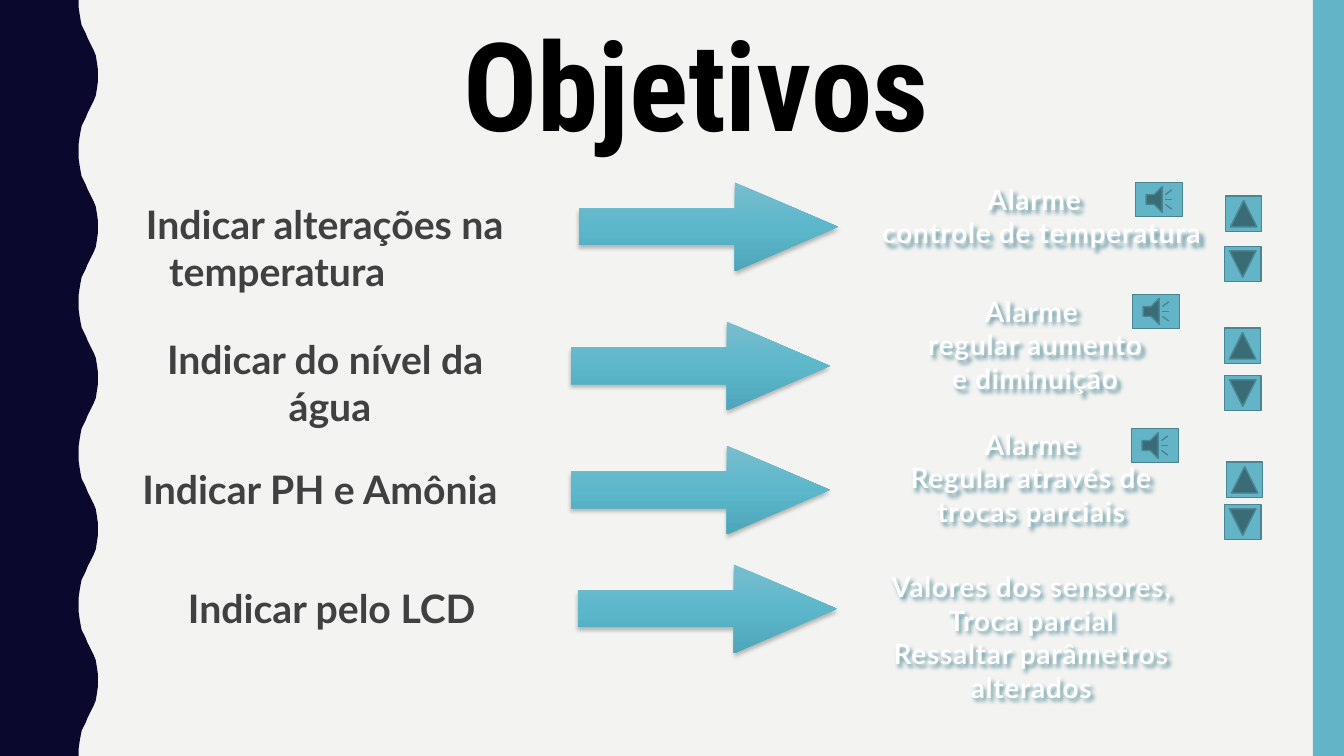
from lxml import etree
from pptx import Presentation
from pptx.dml.color import RGBColor
from pptx.enum.shapes import MSO_SHAPE
from pptx.enum.text import MSO_ANCHOR, MSO_AUTO_SIZE, PP_ALIGN
from pptx.oxml import parse_xml
from pptx.oxml.ns import qn
from pptx.util import Inches, Pt

RECTANGLE, ARROW = MSO_SHAPE.RECTANGLE, MSO_SHAPE.RIGHT_ARROW
SOUND, NEXT = MSO_SHAPE.ACTION_BUTTON_SOUND, MSO_SHAPE.ACTION_BUTTON_FORWARD_OR_NEXT
CENTER, LEFT = PP_ALIGN.CENTER, PP_ALIGN.LEFT
TOP, BOTTOM = MSO_ANCHOR.TOP, MSO_ANCHOR.BOTTOM
GROW = MSO_AUTO_SIZE.SHAPE_TO_FIT_TEXT
DRAWING = "http://schemas.openxmlformats.org/drawingml/2006/main"

THEME = {
    "background": "F3F3F2", "wave": "0B082E", "accent": "62B4C6", "border": "498592",
    "title": ("Roboto Condensed", 88, "000000"),
    "goal": ("Lato", 28, "404040"),
    "result": ("Lato", 20, "FEFEFE"),
    "gradient": [(0, "78BDCD"), (50, "5DB7CB"), (100, "4DA6BA")],
    # colour, opacity %, blur pt, distance pt, angle
    "arrow shadow": ("000000", 25, 3, 2, 90),
    "text shadow": ("498592", 75, 3, 3, 45),
}

# Content: each row leads from a goal through an arrow to a result, with buttons
TITLE = "Objetivos"
ROWS = [
    {"goal": ["Indicar alterações na", "temperatura"], "goal box": (1.11, 1.94, 4.22, 1.04),
     "arrow": (5.74, 1.81),
     "result": ["Alarme ", " controle de temperatura"], "result box": (8.42, 1.76, 3.75, 0.77),
     "sound": (11.26, 1.81), "up": (12.16, 1.94), "down": (12.15, 2.44)},
    {"goal": ["Indicar do nível da", " água"], "goal box": (0.93, 3.28, 4.59, 1.04),
     "arrow": (5.66, 3.19),
     "result": ["Alarme", " regular aumento", " e diminuição"], "result box": (8.23, 2.87, 4, 1.11),
     "sound": (11.23, 2.92), "up": (12.15, 3.25), "down": (12.15, 3.72)},
    {"goal": ["Indicar PH e Amônia "], "goal box": (1.18, 4.57, 4.08, 0.57),
     "arrow": (5.66, 4.42),
     "result": ["Alarme", "Regular através de trocas parciais"], "result box": (8.53, 4.19, 3.4, 1.11),
     "sound": (11.22, 4.25), "up": (12.17, 4.58), "down": (12.15, 5)},
    {"goal": ["Indicar pelo LCD"], "goal box": (1.25, 5.75, 4.08, 0.57),
     "arrow": (5.73, 5.6),
     "result": ["Valores dos sensores,", "Troca parcial", "Ressaltar parâmetros alterados"],
     "result box": (8.53, 5.6, 3.4, 1.45)},
]
# Button kind: preset, size, rotation
BUTTONS = {"sound": (SOUND, (0.47, 0.34), 0), "up": (NEXT, (0.35, 0.36), 270),
           "down": (NEXT, (0.35, 0.36), 90)}
ARROW_SIZE = (2.57, 0.88)
HALF_WAVE = [(0.78, 0), (0.78, 0.07), (0.79, 0.14), (0.8, 0.2), (0.81, 0.25), (0.83, 0.29),
             (0.85, 0.33), (0.87, 0.38), (0.89, 0.42), (0.91, 0.46), (0.93, 0.5),
             (0.95, 0.55), (0.96, 0.61), (0.97, 0.68), (0.97, 0.75)]
WAVE_COUNT, WAVE_HEIGHT = 5, 1.5

presentation = Presentation()
presentation.slide_width, presentation.slide_height = Inches(13.33), Inches(7.5)
slide = presentation.slides.add_slide(presentation.slide_layouts[6])


def paint(fill, color):
    fill.solid()
    fill.fore_color.rgb = RGBColor.from_string(color)


def add_preset(kind, left, top, width, height):
    shape = slide.shapes.add_shape(kind, *map(Inches, (left, top, width, height)))
    paint(shape.fill, THEME["accent"])
    shape.line.fill.background()
    shape.shadow.inherit = False
    return shape


def cast_shadow(shape, color, opacity, blur, distance, angle):
    shape.shadow.inherit = False
    effects = shape._element.spPr.find(qn("a:effectLst"))
    shadow = etree.SubElement(effects, qn("a:outerShdw"), blurRad=str(Pt(blur)),
                              dist=str(Pt(distance)), dir=str(angle * 60000),
                              algn="ctr", rotWithShape="0")
    tint = etree.SubElement(shadow, qn("a:srgbClr"), val=color)
    etree.SubElement(tint, qn("a:alpha"), val=str(opacity * 1000))


def shade(shape, stops):
    marks = "".join(f'<a:gs pos="{position * 1000}"><a:srgbClr val="{color}"/></a:gs>'
                    for position, color in stops)
    properties = shape._element.spPr
    properties.replace(properties.find(qn("a:solidFill")), parse_xml(
        f'<a:gradFill xmlns:a="{DRAWING}" rotWithShape="1"><a:gsLst>{marks}</a:gsLst>'
        '<a:lin ang="5400000" scaled="0"/></a:gradFill>'))


def add_text(box, lines, style, anchor=TOP):
    font_name, size, color = THEME[style]
    shape = slide.shapes.add_textbox(*map(Inches, box))
    frame = shape.text_frame
    frame.word_wrap = True
    frame.vertical_anchor = anchor
    frame.text = "\n".join(lines)
    for paragraph in frame.paragraphs:
        paragraph.alignment = CENTER
        font = paragraph.font
        font.name, font.size, font.bold = font_name, Pt(size), True
        font.color.rgb = RGBColor.from_string(color)
    return shape


# Background, wavy left edge and right band
paint(slide.background.fill, THEME["background"])
wave = HALF_WAVE + [(x, WAVE_HEIGHT - y) for x, y in reversed(HALF_WAVE[:-1])]
edge = [(x, y + index * WAVE_HEIGHT) for index in range(WAVE_COUNT) for x, y in wave]
builder = slide.shapes.build_freeform(0, 0, scale=1.0)
builder.add_line_segments([(Inches(x), Inches(y)) for x, y in edge + [(0, 7.5)]], close=True)
wavy_edge = builder.convert_to_shape()
paint(wavy_edge.fill, THEME["wave"])
wavy_edge.line.fill.background()
wavy_edge.shadow.inherit = False
add_preset(RECTANGLE, 13.02, 0, 0.31, 7.5)

# Title
title = add_text((1.34, 0.15, 11.13, 1.47), [TITLE], "title", BOTTOM)
title.text_frame.paragraphs[0].line_spacing = 0.9

# Rows
for row in ROWS:
    goal = add_text(row["goal box"], row["goal"], "goal")
    goal.text_frame.auto_size = GROW

    arrow = add_preset(ARROW, *row["arrow"], *ARROW_SIZE)
    arrow.adjustments[0], arrow.adjustments[1] = 0.41, 1.16
    shade(arrow, THEME["gradient"])
    cast_shadow(arrow, *THEME["arrow shadow"])

    result = add_text(row["result box"], row["result"], "result")
    result.text_frame.auto_size = GROW
    cast_shadow(result, *THEME["text shadow"])
    for paragraph in result.text_frame.paragraphs:
        for run in paragraph.runs:
            run.font._element.set("spc", "50")

    for name, (kind, size, rotation) in BUTTONS.items():
        if name in row:
            button = add_preset(kind, *row[name], *size)
            button.rotation = rotation
            paint(button.line.fill, THEME["border"])
            button.line.width = Pt(1)

# The second line of the first goal starts at its own indent
indented = slide.shapes[3].text_frame.paragraphs[1]
indented.alignment = LEFT
indented._p.get_or_add_pPr().set("marL", str(Inches(0.47)))

presentation.save("out.pptx")
